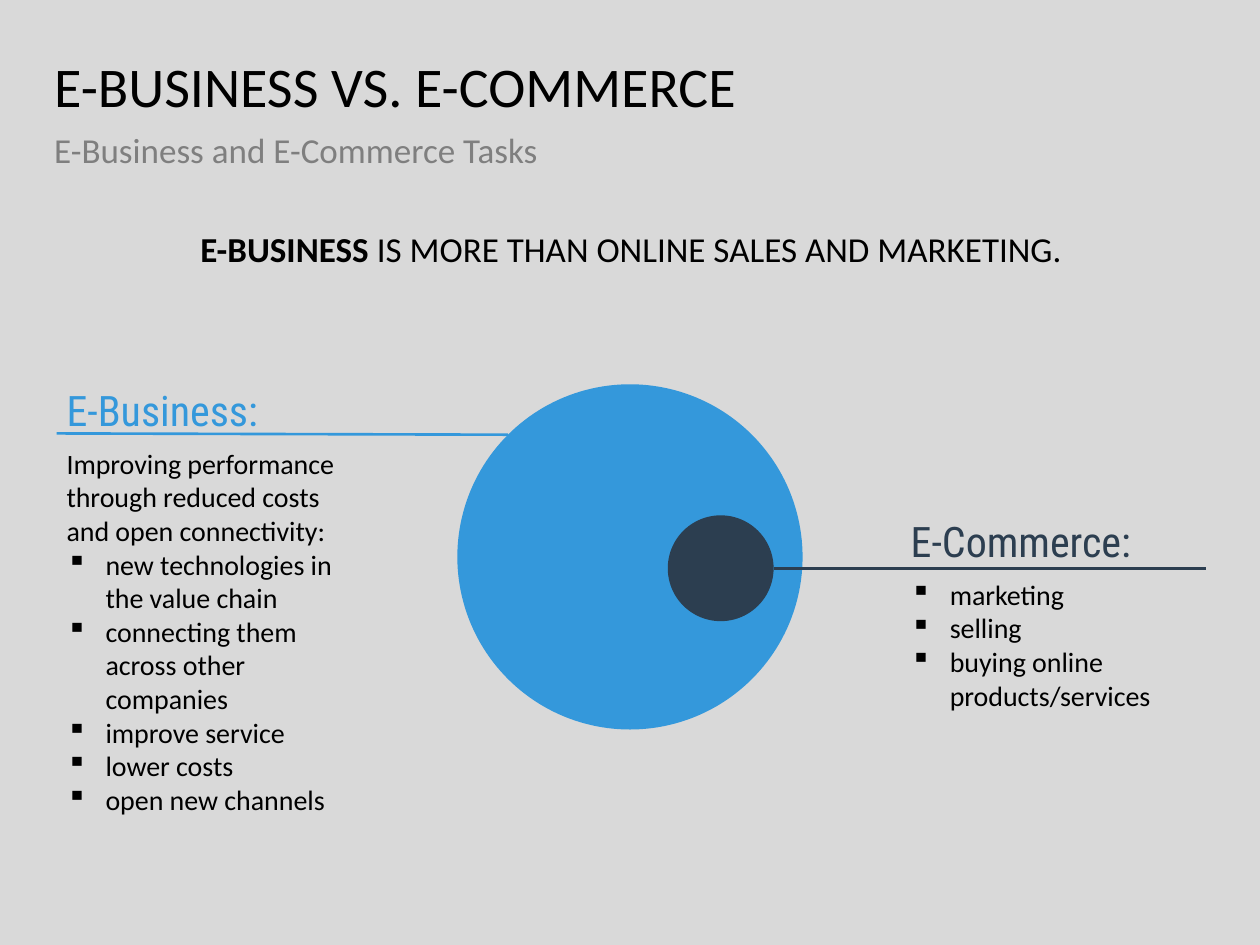
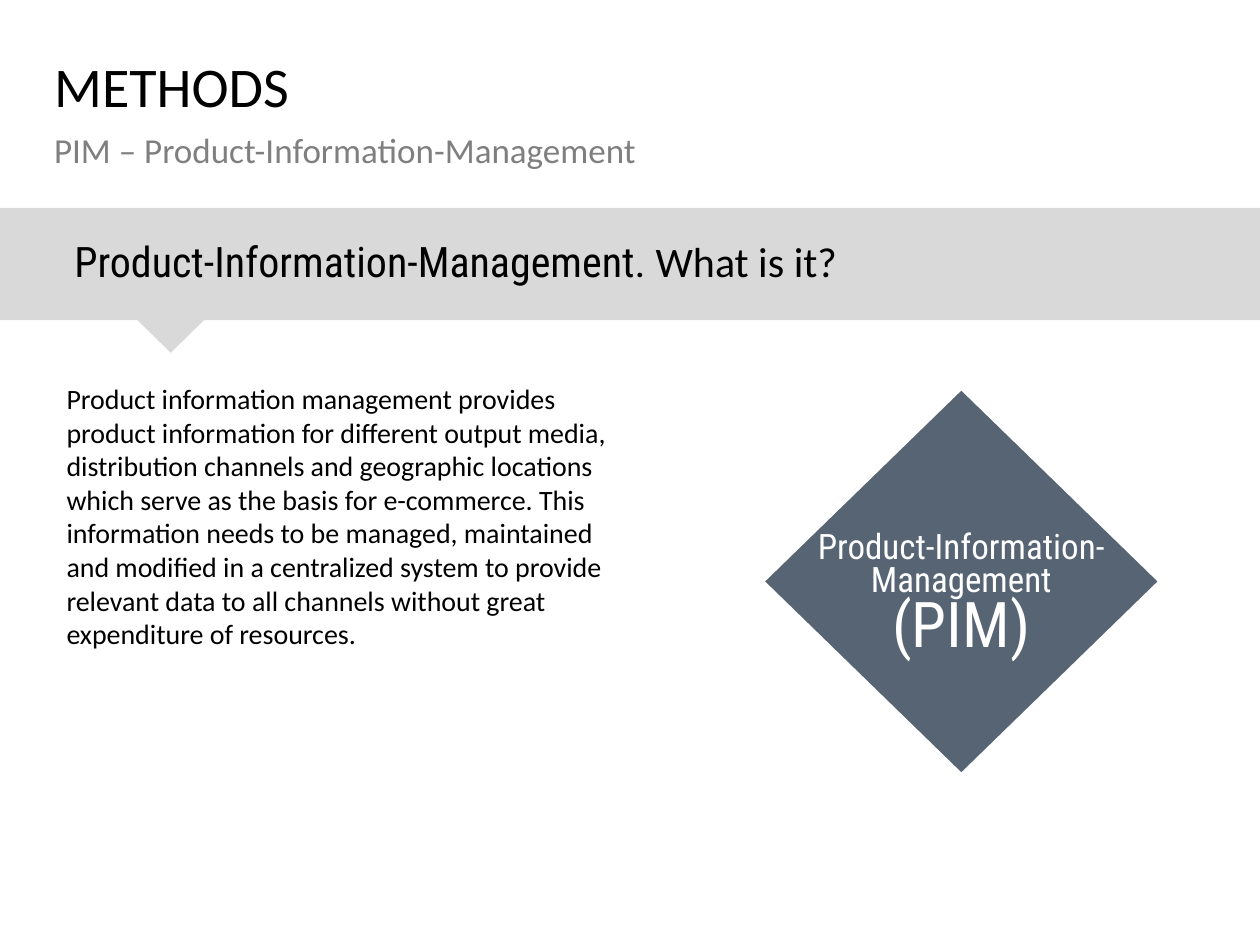
from pptx import Presentation, util as u
from pptx.dml.color import RGBColor
from pptx.enum import shapes, text
from pptx.oxml import ns
from lxml import etree

BLACK, WHITE, GREY, SILVER = "000000", "FFFFFF", "7F7F7F", "D9D9D9"
BLUE, NAVY = "3498DB", "2C3E50"
BODY_FONT, HEAD_FONT = "Calibri", "Roboto Condensed"
LEFT, WIDTH = 0.43, 9.13
NO_INSETS = (0, 0, 0, 0)
BAND_INSETS = (0.59, 0.05, 0.59, 0.05)
TEXT_INSETS = (0.1, 0.05, 0.1, 0.05)
MIDDLE = text.MSO_ANCHOR.MIDDLE
CENTER = text.PP_ALIGN.CENTER


def rgb(hex_color):
    return RGBColor.from_string(hex_color)


def apply(target, formats):
    for name, value in formats.items():
        setattr(target, name, value)


def sub(parent, tag, **attributes):
    return etree.SubElement(parent, ns.qn(tag), attributes)


def run(words, size=16, color=BLACK, name=BODY_FONT, bold=False):
    return words, color, {"size": u.Pt(size), "name": name, "bold": bold}


def para(*runs, bullet=False, **formats):
    return runs, bullet, formats


def heading(words, color):
    return para(run(words, 24, color, HEAD_FONT), line_spacing=0.9, space_after=u.Pt(6))


def bullets(*items):
    return [para(run(item), bullet=True) for item in items]


def add_bullet(paragraph):
    indent = u.Inches(0.31)
    properties = paragraph._p.get_or_add_pPr()
    properties.set("marL", str(indent))
    properties.set("indent", str(-indent))
    sub(properties, "a:buChar", char="▪")


def write(shape, paragraphs, insets=TEXT_INSETS, anchor=text.MSO_ANCHOR.TOP, wrap=True):
    frame = shape.text_frame
    apply(frame, {"word_wrap": wrap, "vertical_anchor": anchor})
    sides = ("margin_left", "margin_top", "margin_right", "margin_bottom")
    apply(frame, {side: u.Inches(inset) for side, inset in zip(sides, insets)})
    for index, (runs, bullet, formats) in enumerate(paragraphs):
        paragraph = frame.add_paragraph() if index else frame.paragraphs[0]
        apply(paragraph, {"alignment": text.PP_ALIGN.LEFT, **formats})
        if bullet:
            add_bullet(paragraph)
        for words, color, font in runs:
            for row, line in enumerate(words.split("\n")):
                if row:
                    paragraph.add_line_break()
                if line:
                    piece = paragraph.add_run()
                    piece.text = line
                    apply(piece.font, font)
                    piece.font.color.rgb = rgb(color)


def add_text(slide, box, paragraphs, **layout):
    write(slide.shapes.add_textbox(*map(u.Inches, box)), paragraphs, **layout)


def add_figure(slide, kind, box, color):
    figure = slide.shapes.add_shape(kind, *map(u.Inches, box))
    figure.shadow.inherit = False
    figure.fill.solid()
    figure.fill.fore_color.rgb = rgb(color)
    figure.line.fill.background()
    return figure


def add_rule(slide, start, end, color):
    rule = slide.shapes.add_connector(
        shapes.MSO_CONNECTOR.STRAIGHT, *map(u.Inches, start + end))
    rule.line.color.rgb = rgb(color)
    rule.line.width = u.Pt(1.5)
    sub(rule._element.spPr, "a:effectLst")


def add_slide(deck, background, title, subtitle):
    slide = deck.slides.add_slide(deck.slide_layouts[6])
    slide.background.fill.solid()
    slide.background.fill.fore_color.rgb = rgb(background)
    add_text(slide, (LEFT, 0.47, WIDTH, 0.59),
             [para(run(title, 32), line_spacing=0.9)], insets=NO_INSETS)
    add_text(slide, (LEFT, 1.06, WIDTH, 0.59),
             [para(run(subtitle, 20, GREY), line_spacing=0.9)], insets=NO_INSETS)
    return slide


def build_comparison(deck):
    slide = add_slide(deck, SILVER, "E-BUSINESS VS. E-COMMERCE",
                      "E-Business and E-Commerce Tasks")
    add_text(slide, (0.45, 1.65, 9.12, 0.68), [para(
        run("E-BUSINESS ", 20, bold=True),
        run("IS MORE THAN ONLINE SALES AND MARKETING.", 20),
        alignment=CENTER, line_spacing=0.9)], insets=BAND_INSETS, anchor=MIDDLE)
    for box, color in (((3.63, 3.05, 2.74, 2.74), BLUE), ((5.3, 4.09, 0.84, 0.84), NAVY)):
        add_figure(slide, shapes.MSO_SHAPE.OVAL, box, color)
    add_text(slide, (LEFT, 3.05, 2.43, 3.51), [
        heading("E-Business:", BLUE),
        para(run("Improving performance through reduced costs and open connectivity:")),
        *bullets("new technologies in the value chain",
                 "connecting them across other companies",
                 "improve service", "lower costs", "open new channels")])
    add_text(slide, (7.13, 4.09, 2.43, 2.97), [
        heading("E-Commerce:", NAVY),
        *bullets("marketing", "selling", "buying online products/services")])
    add_rule(slide, (0.45, 3.44), (4.03, 3.45), BLUE)
    add_rule(slide, (6.14, 4.51), (9.57, 4.51), NAVY)


def build_methods(deck):
    slide = add_slide(deck, WHITE, "METHODS", "PIM – Product-Information-Management")
    band = add_figure(slide, shapes.MSO_SHAPE.RECTANGLE, (0, 1.65, 10, 0.89), SILVER)
    write(band, [para(run("Product-Information-Management. ", 24, name=HEAD_FONT),
                      run("What is it?", 24), line_spacing=0.9)],
          insets=BAND_INSETS, anchor=MIDDLE)
    pointer = add_figure(slide, shapes.MSO_SHAPE.ISOSCELES_TRIANGLE,
                         (1.09, 2.54, 0.53, 0.26), SILVER)
    pointer.rotation = 180
    add_text(slide, (LEFT, 2.98, 4.57, 2.26), [para(run(
        "Product information management provides product information for different "
        "output media, distribution channels and geographic locations which serve as "
        "the basis for e-commerce. This information needs to be managed, maintained "
        "and modified in a centralized system to provide relevant data to all channels "
        "without great expenditure of resources."))])
    diamond = add_figure(slide, shapes.MSO_SHAPE.FLOWCHART_DECISION,
                         (5.98, 3.01, 3.3, 3.21), NAVY)
    diamond.line.color.rgb = rgb(WHITE)
    diamond.line.width = u.Pt(9.25)
    fill_color = diamond._element.spPr.find(ns.qn("a:solidFill"))[0]
    sub(fill_color, "a:alpha", val="80000")
    write(diamond, [para(
        run("Product-Information-\nManagement\n", 20, WHITE, HEAD_FONT),
        run("(PIM)", 36, WHITE, HEAD_FONT), alignment=CENTER, line_spacing=0.8)],
        insets=(0.1, 0.28, 0.1, 0.05), anchor=MIDDLE, wrap=False)


def main():
    deck = Presentation()
    apply(deck, {"slide_width": u.Inches(10), "slide_height": u.Inches(7.5)})
    build_comparison(deck)
    build_methods(deck)
    deck.save("out.pptx")


if __name__ == "__main__":
    main()
